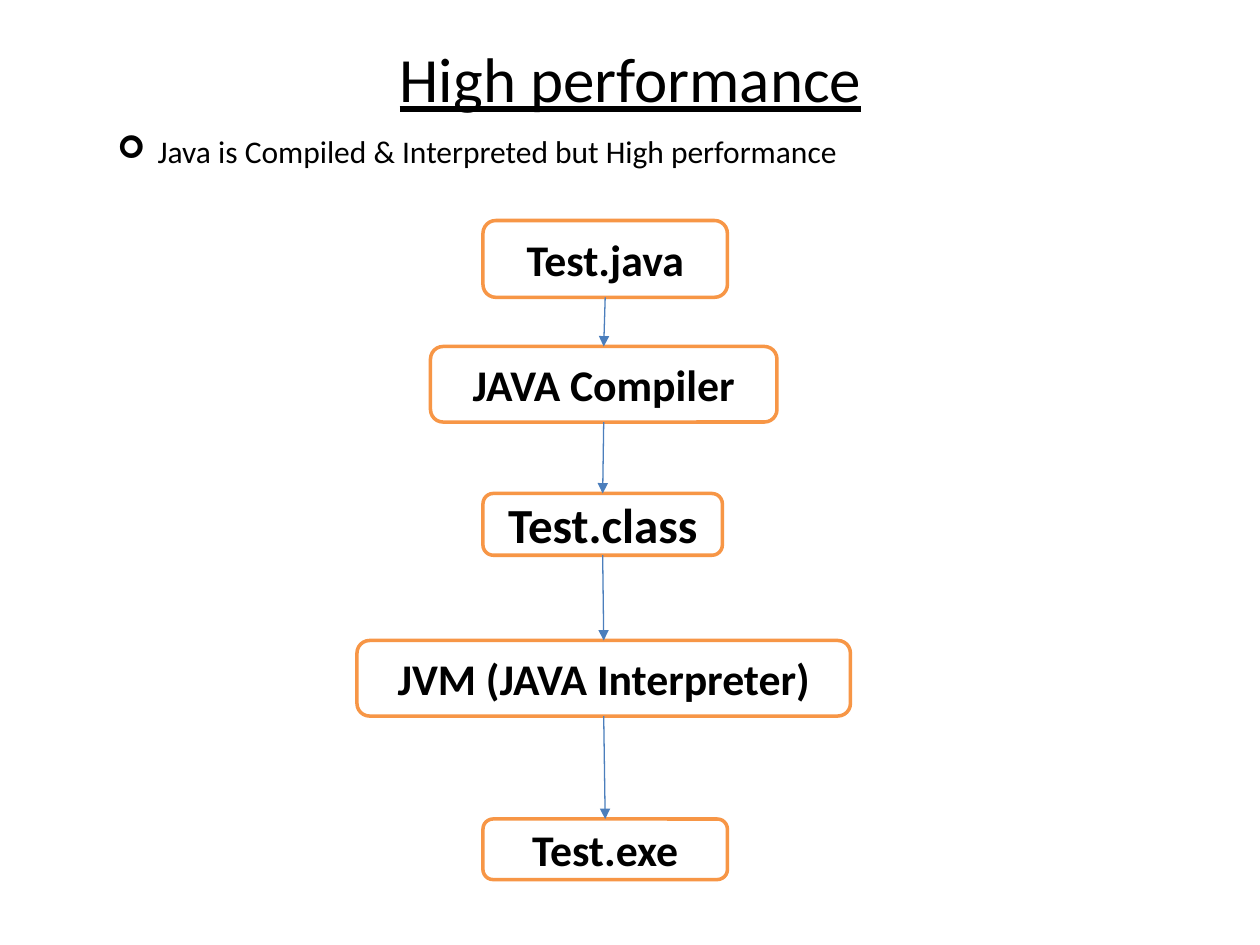
from dataclasses import dataclass
from itertools import pairwise

from lxml import etree
from pptx import Presentation
from pptx.dml.color import RGBColor
from pptx.enum import shapes, text
from pptx.oxml.ns import qn
from pptx.util import Pt

COLORS = {"ink": "000000", "box": "FFFFFF", "border": "F79646", "arrow": "4B7EBC"}
FONT = "Calibri"
TOP_SITE, BOTTOM_SITE = 0, 2


@dataclass(frozen=True)
class Stage:
    label: str
    left: float
    top: float
    width: float
    height: float
    size: float = 25


STAGES = [
    Stage("Test.java", 276, 126, 139.7, 43.9),
    Stage("JAVA Compiler", 246, 198, 198, 43.2),
    Stage("Test.class", 276, 282, 136.8, 35.3, size=28),
    Stage("JVM (JAVA Interpreter)", 204, 366, 282, 43.2),
    Stage("Test.exe", 276, 468, 139.7, 34.6),
]


def color(name: str) -> RGBColor:
    return RGBColor.from_string(COLORS[name])


def add_run(paragraph, words: str, size: float, bold=False, underline=False) -> None:
    run = paragraph.add_run()
    run.text = words
    run.font.name = FONT
    run.font.size = Pt(size)
    run.font.bold = bold
    run.font.underline = underline
    run.font.color.rgb = color("ink")


def add_paragraph_box(slide, left: float, top: float, width: float, height: float):
    """Add a wrapping text box and return its first paragraph."""
    frame = slide.shapes.add_textbox(Pt(left), Pt(top), Pt(width), Pt(height)).text_frame
    frame.word_wrap = True
    frame.auto_size = text.MSO_AUTO_SIZE.SHAPE_TO_FIT_TEXT
    return frame.paragraphs[0]


def add_bullet(paragraph, mark: str, indent: float) -> None:
    properties = paragraph._p.get_or_add_pPr()
    properties.set("marL", str(Pt(indent)))
    properties.set("indent", str(-Pt(indent)))
    etree.SubElement(properties, qn("a:buFont"), typeface="Wingdings")
    etree.SubElement(properties, qn("a:buChar"), char=mark)


def add_stage(slide, stage: Stage):
    box = slide.shapes.add_shape(
        shapes.MSO_SHAPE.ROUNDED_RECTANGLE,
        Pt(stage.left), Pt(stage.top), Pt(stage.width), Pt(stage.height),
    )
    box.shadow.inherit = False
    box.fill.solid()
    box.fill.fore_color.rgb = color("box")
    box.line.color.rgb = color("border")
    box.line.width = Pt(2)
    box.text_frame.word_wrap = True
    box.text_frame.vertical_anchor = text.MSO_ANCHOR.MIDDLE
    label = box.text_frame.paragraphs[0]
    label.alignment = text.PP_ALIGN.CENTER
    add_run(label, stage.label, stage.size, bold=True)
    return box


def add_arrow(slide, upper, lower) -> None:
    arrow = slide.shapes.add_connector(shapes.MSO_CONNECTOR.STRAIGHT, 0, 0, 0, 0)
    arrow.begin_connect(upper, BOTTOM_SITE)
    arrow.end_connect(lower, TOP_SITE)
    arrow.line.color.rgb = color("arrow")
    arrow.line.width = Pt(0.75)
    etree.SubElement(arrow.line._get_or_add_ln(), qn("a:tailEnd"), type="triangle")
    etree.SubElement(arrow._element.spPr, qn("a:effectLst"))


def main() -> None:
    deck = Presentation()
    deck.slide_width, deck.slide_height = Pt(720), Pt(540)
    slide = deck.slides.add_slide(deck.slide_layouts[6])

    # Title
    title = add_paragraph_box(slide, 7.2, 24, 706.3, 46.8)
    title.alignment = text.PP_ALIGN.CENTER
    title.line_spacing = 0.9
    title.space_before = Pt(10)
    add_run(title, "High performance", 36, underline=True)

    # Key statement
    statement = add_paragraph_box(slide, 60, 72, 568, 36)
    add_bullet(statement, "➢", indent=23)
    add_run(statement, "Java is Compiled & Interpreted but High performance", 18)

    # Flow from source file to executable
    boxes = [add_stage(slide, stage) for stage in STAGES]
    for upper, lower in pairwise(boxes):
        add_arrow(slide, upper, lower)

    deck.save("out.pptx")


if __name__ == "__main__":
    main()
